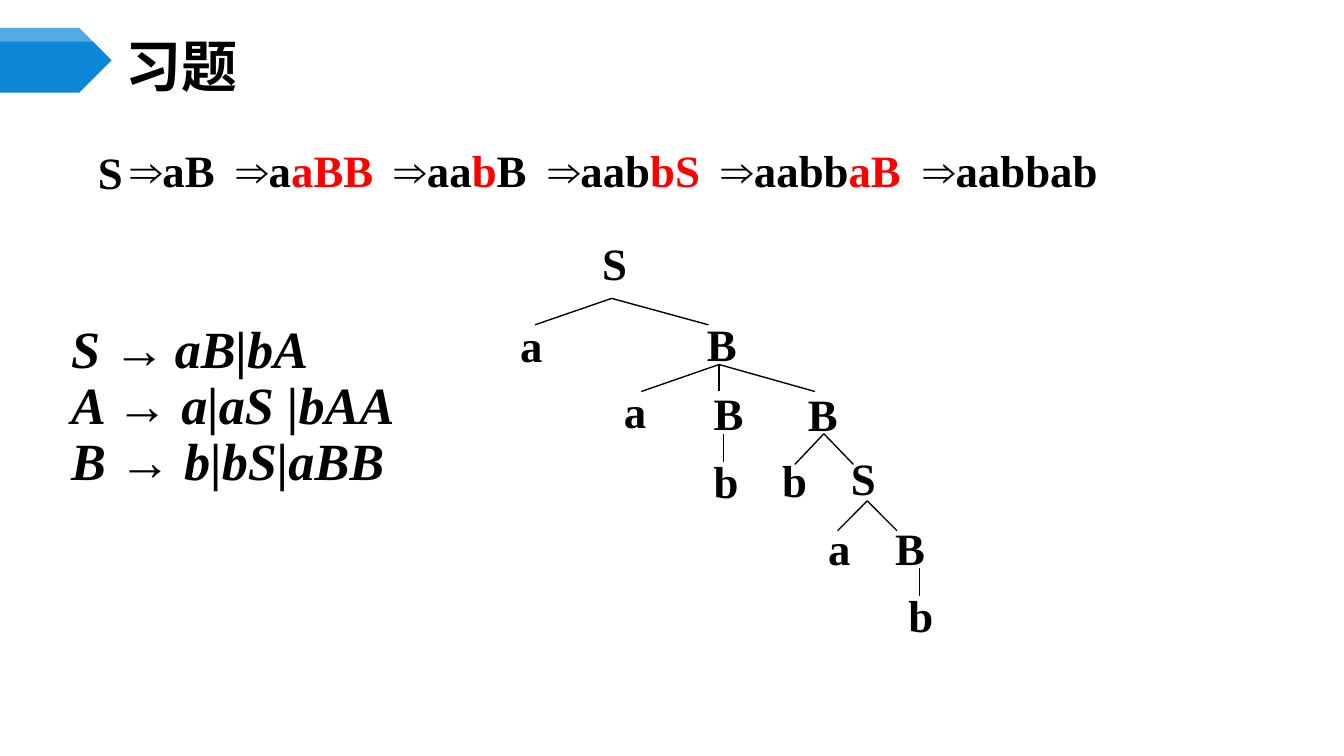
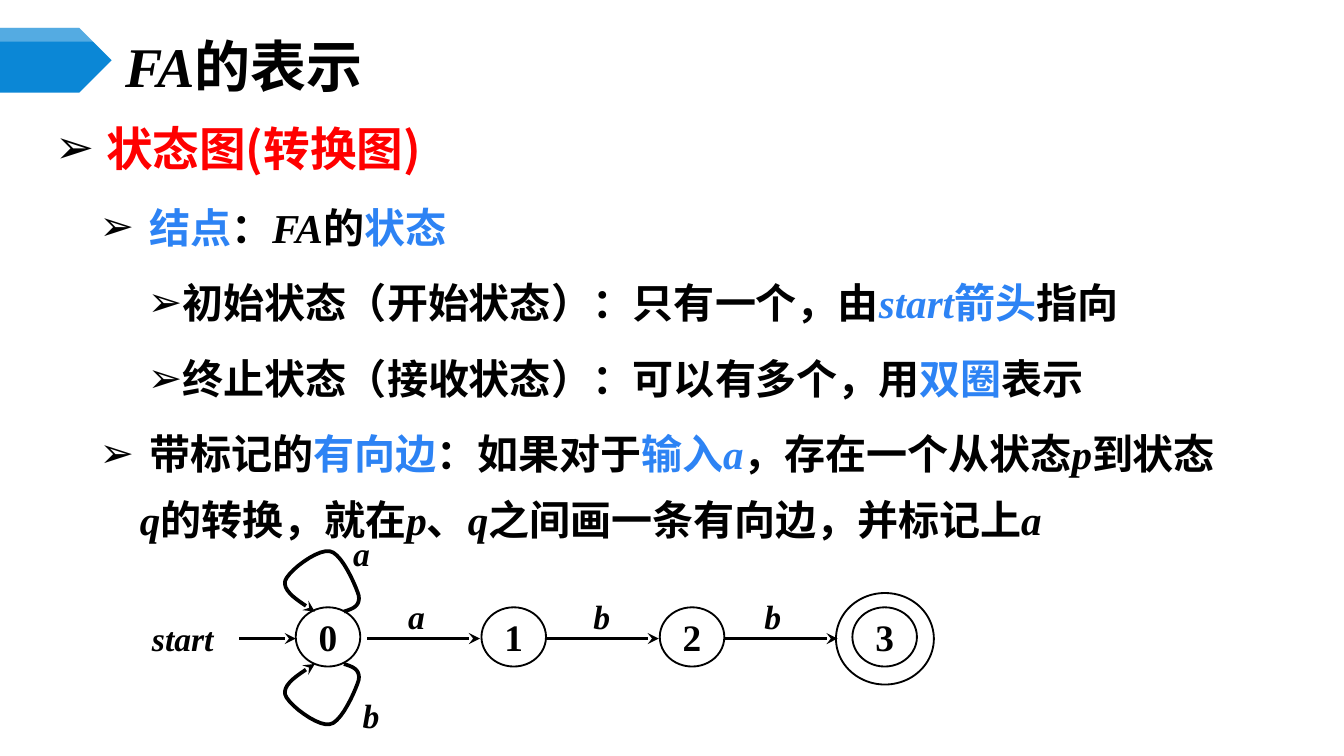
from dataclasses import dataclass

from lxml.etree import SubElement
from pptx import Presentation
from pptx.dml.color import RGBColor as Rgb
from pptx.enum.shapes import MSO_CONNECTOR as Connector, MSO_SHAPE as Preset
from pptx.enum.text import MSO_ANCHOR as Anchor, MSO_AUTO_SIZE as AutoSize, PP_ALIGN as Align
from pptx.oxml.ns import qn
from pptx.util import Cm, Pt


@dataclass(frozen=True)
class Theme:
    black: Rgb = Rgb(0, 0, 0)
    white: Rgb = Rgb(255, 255, 255)
    red: Rgb = Rgb(255, 0, 0)
    key: Rgb = Rgb(0x2D, 0x83, 0xF4)
    marker: Rgb = Rgb(0x0B, 0x87, 0xD6)
    serif: str = "Times New Roman"
    sans: str = "Noto Sans CJK SC"
    symbol: str = "Arial"
    title: int = 30
    grammar: int = 28
    topic: int = 25
    formula: int = 24
    point: int = 22
    state: int = 20
    label: int = 18


@dataclass(frozen=True)
class Box:
    left: float
    top: float
    width: float
    height: float

    def inner(self, x, y, width, height):
        return Box(self.left + x, self.top + y, width, height)

    def point(self, x, y):
        return Cm(self.left + x), Cm(self.top + y)

    def lengths(self):
        return [Cm(v) for v in (self.left, self.top, self.width, self.height)]


THEME = Theme()
RED = {"color": THEME.red}
KEY = {"color": THEME.key}
ITALIC = {"italic": True}
KEY_ITALIC = {**KEY, **ITALIC}
SANS = {"name": THEME.sans}

SLIDE = Box(0, 0, 25.4, 14.29)
TITLE = Box(2.11, 0.74, 22.02, 0.99)
MARKER = Box(0, 0.53, 2.11, 1.22)

DERIVATION = [
    (0.61, 2.41, [("aB", {})]),
    (2.62, 3.4, [("a", {}), ("aBB", RED)]),
    (5.61, 3.4, [("aa", {}), ("b", RED), ("B", {})]),
    (9.51, 3.68, [("aab", {}), ("bS", RED)]),
    (11.79, 4.37, [("aabb", {}), ("aB", RED)]),
    (15.6, 4.17, [("aabbab", {})]),
]
DERIVATION[3] = (8.51, *DERIVATION[3][1:])

TREE_SYMBOLS = [
    ("S", 1.55, 0), ("a", 0, 1.55), ("B", 3.53, 1.52),
    ("a", 1.96, 2.79), ("B", 3.66, 2.82), ("B", 5.44, 2.84),
    ("b", 3.66, 4.11), ("b", 4.95, 4.09), ("S", 6.25, 4.06),
    ("a", 5.82, 5.38), ("B", 7.09, 5.38), ("b", 7.34, 6.65),
]
TREE_FORKS = [
    (1.98, 1.3, 1.8, [0.53, 3.81]),
    (4.01, 2.55, 3.06, [2.54, 4.01, 5.82]),
    (4.09, 3.86, 4.4, [4.09]),
    (5.99, 3.86, 4.44, [5.44, 6.55]),
    (6.81, 5.13, 5.69, [6.25, 7.37]),
    (7.8, 6.4, 6.93, [7.8]),
]
GRAMMAR = [
    [("S →", {}), (" ", {"size": Pt(20)}), ("aB|bA", {})],
    [("A → a|aS |bAA", {})],
    [("B → b|bS|aBB", {})],
]

BULLET_INDENTS = [(0.76, -0.76), (1.6, -0.76), (2.39, -0.64)]
FA_POINTS = [
    (0, [(" ", SANS), ("状态图(转换图)", {**SANS, **RED})]),
    (1, [(" ", {}), ("结点", KEY), ("：", {}), ("FA", ITALIC), ("的", {}), ("状态", KEY)]),
    (2, [("初始状态（开始状态）：只有一个，由", {}), ("start", KEY_ITALIC),
         ("箭头", KEY), ("指向", {})]),
    (2, [("终止状态（接收状态）：可以有多个，用", {}), ("双圈", KEY), ("表示", {})]),
    (1, [(" 带标记的", {}), ("有向边", KEY), ("：如果对于", {}), ("输入", KEY),
         ("a", KEY_ITALIC), ("，存在一个从状态", {}), ("p", ITALIC), ("到状态", {}),
         ("q", ITALIC), ("的转换，就在", {}), ("p", ITALIC), ("、", {}), ("q", ITALIC),
         ("之间画一条有向边，并标记上", {}), ("a", ITALIC)]),
]

STATES = [("0", 3.2), ("1", 6.71), ("2", 10.08), ("3", 13.72)]
TRANSITIONS = [(2.13, 3.2), (4.55, 6.68), (7.92, 10.06), (11.3, 13.44)]
EDGE_LABELS = [
    ("start", 0, 1.6), ("a", 3.38, 0), ("b", 3.56, 3.07),
    ("a", 4.42, 1.19), ("b", 7.92, 1.19), ("b", 11.15, 1.19),
]
SELF_LOOP = [
    (4.11, 1.65), (4.27, 1.6), (4.42, 1.55), (4.39, 1.35),
    (4.34, 1.17), (4.06, 0.53), (3.84, 0.51),
    (3.61, 0.46), (3.05, 0.89), (3, 1.07),
    (2.95, 1.27), (3.25, 1.45), (3.56, 1.65),
]
LOOP_MIRROR = 4.29


def apply(target, **values):
    for name, value in values.items():
        setattr(target, name, value)


def write(paragraph, runs, size, **base):
    for text, changes in runs:
        look = {"name": THEME.serif, "size": Pt(size), "bold": True, "italic": False,
                "color": THEME.black, **base, **changes}
        run = paragraph.add_run()
        run.text = text
        run.font.color.rgb = look.pop("color")
        apply(run.font, **look)
        if max(text) > "⺀":
            SubElement(run.font._element, qn("a:ea"), typeface=THEME.sans)


def place(shape, box):
    apply(shape, **dict(zip(("left", "top", "width", "height"), box.lengths())))


def add_text(slide, box, runs, size, wrap=True, align=Align.LEFT, anchor=Anchor.TOP, **base):
    frame = slide.shapes.add_textbox(*box.lengths()).text_frame
    apply(frame, word_wrap=wrap, vertical_anchor=anchor, auto_size=AutoSize.NONE)
    frame.paragraphs[0].alignment = align
    write(frame.paragraphs[0], runs, size, **base)


def add_edge(slide, start, end, width, arrow=False):
    edge = slide.shapes.add_connector(Connector.STRAIGHT, *start, *end)
    draw_line(edge, width, arrow)
    SubElement(edge.element.spPr, qn("a:effectLst"))


def draw_line(shape, width, arrow=False):
    shape.line.color.rgb = THEME.black
    shape.line.width = Pt(width)
    if arrow:
        SubElement(shape.element.spPr.find(qn("a:ln")), qn("a:tailEnd"), type="stealth")


def add_outline(slide, box, points, close):
    corners = [box.point(*point) for point in points]
    builder = slide.shapes.build_freeform(*corners[0])
    builder.add_line_segments(corners[1:], close=close)
    outline = builder.convert_to_shape()
    outline.shadow.inherit = False
    return outline


def add_title(slide, box, runs):
    title = slide.shapes.title
    place(title, box)
    apply(title.text_frame, vertical_anchor=Anchor.MIDDLE, auto_size=AutoSize.NONE, word_wrap=True)
    title.text_frame.paragraphs[0].alignment = Align.LEFT
    write(title.text_frame.paragraphs[0], runs, THEME.title)


def add_marker(slide, box):
    for height, tip, color in ((box.height, 0.61, THEME.marker), (0.26, 0.13, THEME.white)):
        shoulder = box.width - tip
        flag = add_outline(slide, box, [(0, 0), (shoulder, 0), (box.width, height / 2),
                                        (shoulder, height), (0, height)], True)
        flag.fill.solid()
        flag.fill.fore_color.rgb = color
        flag.line.fill.background()
    gloss = flag.element.spPr.find(qn("a:solidFill"))[0]
    SubElement(gloss, qn("a:alpha"), val="30000")


def body_paragraphs(slide, box, count):
    body = slide.placeholders[1]
    place(body, box)
    frame = body.text_frame
    apply(frame, word_wrap=True, auto_size=AutoSize.NONE, vertical_anchor=Anchor.TOP)
    return [frame.paragraphs[0]] + [frame.add_paragraph() for _ in range(count - 1)]


def indent(paragraph, margin, hanging):
    props = paragraph._p.get_or_add_pPr()
    props.set("marL", str(Cm(margin)))
    props.set("indent", str(Cm(hanging)))
    return props


def add_grammar(slide, box):
    for paragraph, rule in zip(body_paragraphs(slide, box, len(GRAMMAR)), GRAMMAR):
        SubElement(indent(paragraph, 0, 0), qn("a:buNone"))
        apply(paragraph, line_spacing=Pt(30), space_before=Pt(0))
        write(paragraph, rule, THEME.grammar, italic=True)


def add_derivation(slide, box):
    add_text(slide, box.inner(0, 0.05, 0.89, box.height), [("S", {})], THEME.formula)
    for x, width, sentence in DERIVATION:
        runs = [("⇒", {"name": THEME.symbol}), *sentence]
        add_text(slide, box.inner(x, 0, width, box.height), runs, THEME.formula)


def add_parse_tree(slide, box):
    for x, y, end_y, ends in TREE_FORKS:
        for end_x in ends:
            add_edge(slide, box.point(x, y), box.point(end_x, end_y), 0.75)
    for symbol, x, y in TREE_SYMBOLS:
        width = 0.89 if symbol == "S" else 0.56
        add_text(slide, box.inner(x, y, width, 1.27), [(symbol, {})], THEME.formula)


def add_points(slide, box):
    paragraphs = body_paragraphs(slide, box, len(FA_POINTS))
    for order, (paragraph, (level, runs)) in enumerate(zip(paragraphs, FA_POINTS)):
        paragraph.level = level
        props = indent(paragraph, *BULLET_INDENTS[level])
        SubElement(SubElement(props, qn("a:buClr")), qn("a:srgbClr"), val=str(THEME.black))
        SubElement(props, qn("a:buChar"), char="➢")
        apply(paragraph, line_spacing=Pt(35), space_before=Pt(5.5 if order else 0))
        write(paragraph, runs, THEME.point if level else THEME.topic)


def add_ellipse(slide, box):
    ellipse = slide.shapes.add_shape(Preset.OVAL, *box.lengths())
    ellipse.shadow.inherit = False
    ellipse.fill.background()
    draw_line(ellipse, 1)
    return ellipse


def add_state(slide, box, number):
    state = add_ellipse(slide, box)
    state.fill.solid()
    state.fill.fore_color.rgb = THEME.white
    apply(state.text_frame, word_wrap=False, vertical_anchor=Anchor.MIDDLE)
    state.text_frame.paragraphs[0].alignment = Align.CENTER
    write(state.text_frame.paragraphs[0], [(number, {})], THEME.state)


def curve(knots, steps=10):
    points = [knots[0]]
    for first in range(0, len(knots) - 1, 3):
        controls = knots[first:first + 4]
        for step in range(1, steps + 1):
            t = step / steps
            weights = ((1 - t) ** 3, 3 * t * (1 - t) ** 2, 3 * t * t * (1 - t), t ** 3)
            points.append(tuple(sum(w * c[axis] for w, c in zip(weights, controls))
                                for axis in (0, 1)))
    return points


def add_state_diagram(slide, box):
    for number, x in STATES:
        add_state(slide, box.inner(x, 1.57, 1.22, 1.12), number)
    add_ellipse(slide, box.inner(13.41, 1.3, 1.85, 1.73))
    for start, end in TRANSITIONS:
        add_edge(slide, box.point(start, 2.16), box.point(end, 2.16), 2, arrow=True)
    for label, x, y in EDGE_LABELS:
        add_text(slide, box.inner(x, y, 2.13, 1.09), [(label, ITALIC)], THEME.label,
                 wrap=False, align=Align.CENTER, anchor=Anchor.MIDDLE)
    for knots in (SELF_LOOP, [(x, LOOP_MIRROR - y) for x, y in SELF_LOOP]):
        loop = add_outline(slide, box, curve(knots), False)
        loop.fill.background()
        draw_line(loop, 2, arrow=True)


def add_slide(deck, title):
    slide = deck.slides.add_slide(deck.slide_layouts[1])
    add_title(slide, TITLE, title)
    add_marker(slide, MARKER)
    return slide


def main():
    deck = Presentation()
    apply(deck, slide_width=Cm(SLIDE.width), slide_height=Cm(SLIDE.height))

    exercise = add_slide(deck, [("习题", SANS)])
    add_derivation(exercise, Box(1.6, 2.57, 19.77, 1.27))
    add_parse_tree(exercise, Box(9.58, 4.34, 8.2, 7.92))
    add_grammar(exercise, Box(1.09, 5.97, 7.2, 3.43))

    automaton = add_slide(deck, [("FA", ITALIC), ("的表示", {})])
    add_points(automaton, Box(0.79, 1.96, 22.43, 8.97))
    add_state_diagram(automaton, Box(2.39, 9.91, 15.27, 4.17))

    deck.save("out.pptx")


if __name__ == "__main__":
    main()
